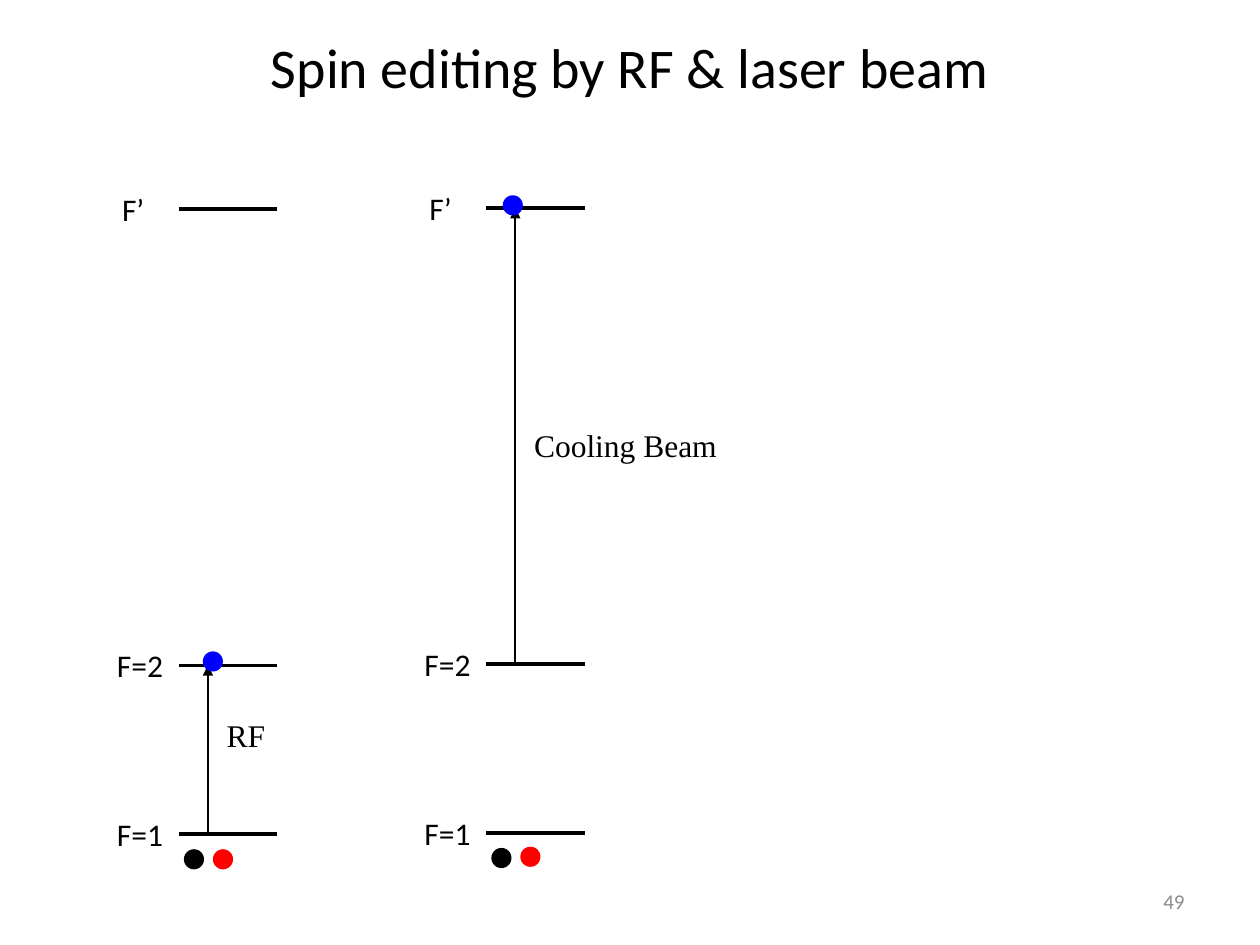
from lxml.etree import SubElement
from pptx import Presentation
from pptx.dml.color import RGBColor
from pptx.enum.shapes import MSO_CONNECTOR, MSO_SHAPE
from pptx.enum.text import MSO_ANCHOR, MSO_AUTO_SIZE, PP_ALIGN
from pptx.oxml.ns import qn
from pptx.util import Inches, Pt

BLACK = RGBColor(0x00, 0x00, 0x00)
RED = RGBColor(0xFF, 0x00, 0x00)
BLUE = RGBColor(0x00, 0x00, 0xFF)
GRAY = RGBColor(0x8C, 0x8C, 0x8C)
SANS = "Calibri"
SERIF = "Times New Roman"

# Heights of the energy levels, and label offsets from the level's left end
LEVELS = [("F=1", 6.62, -0.59), ("F=2", 5.28, -0.59), ("F’", 1.66, -0.55)]
WIDTH = 0.78
DOT = 0.16


class Board:
    """Draws on one slide, or inside a group on it."""

    def __init__(self, slide):
        self.slide = slide
        self.shapes = slide.shapes

    def group(self):
        self.shapes = self.slide.shapes.add_group_shape().shapes

    def ungroup(self):
        self.shapes = self.slide.shapes

    def style(self, frame, text, size, font, color, align):
        frame.word_wrap = True
        para = frame.paragraphs[0]
        para.text = text
        para.alignment = align
        para.font.size = Pt(size)
        para.font.name = font
        para.font.color.rgb = color

    def title(self, text):
        box = self.slide.shapes.title
        box.left, box.top = Inches(0), Inches(0)
        box.width, box.height = Inches(10), Inches(1.05)
        box.text_frame.vertical_anchor = MSO_ANCHOR.MIDDLE
        self.style(box.text_frame, text, 32, SANS, BLACK, PP_ALIGN.CENTER)

    def label(self, text, x, y, width, font=SANS, size=18, color=BLACK,
              align=PP_ALIGN.LEFT):
        box = self.shapes.add_textbox(
            Inches(x), Inches(y), Inches(width), Inches(0.4))
        self.style(box.text_frame, text, size, font, color, align)
        box.text_frame.auto_size = MSO_AUTO_SIZE.SHAPE_TO_FIT_TEXT
        return box

    def line(self, x1, y1, x2, y2, width=2, arrow=False):
        line = self.shapes.add_connector(
            MSO_CONNECTOR.STRAIGHT,
            Inches(x1), Inches(y1), Inches(x2), Inches(y2))
        line.line.color.rgb = BLACK
        line.line.width = Pt(width)
        if arrow:
            SubElement(line.line._get_or_add_ln(), qn("a:tailEnd"),
                       type="triangle")
        SubElement(line._element.spPr, qn("a:effectLst"))

    def dot(self, x, y, color):
        dot = self.shapes.add_shape(
            MSO_SHAPE.OVAL, Inches(x), Inches(y), Inches(DOT), Inches(DOT))
        dot.shadow.inherit = False
        dot.fill.solid()
        dot.fill.fore_color.rgb = color
        dot.line.fill.background()

    def scheme(self, x, shift, arrow, note, dots):
        """Level diagram with its left end at x, moved down by shift."""
        self.group()
        for name, y, offset in LEVELS:
            self.line(x, y + shift, x + WIDTH, y + shift)
            self.label(name, x + offset, y + shift - 0.2, 0.71)
        start, end = arrow
        self.line(x + 0.23, start, x + 0.23, end, width=1, arrow=True)
        text, top, width = note
        self.label(text, x + 0.28, top, width, font=SERIF)
        self.ungroup()
        for dx, y, color in dots:
            self.dot(x + dx, y, color)


def main():
    deck = Presentation()
    deck.slide_width, deck.slide_height = Inches(10), Inches(7.5)
    board = Board(deck.slides.add_slide(deck.slide_layouts[5]))

    # Slide number and title
    page = board.label("49", 7.17, 6.95, 2.33, size=12, color=GRAY,
                       align=PP_ALIGN.RIGHT)
    page.text_frame.auto_size = MSO_AUTO_SIZE.NONE
    page.text_frame.vertical_anchor = MSO_ANCHOR.MIDDLE
    board.title("Spin editing by RF & laser beam")

    # RF lifts the atom from F=1 to F=2
    board.scheme(1.42, 0, (6.6, 5.28), ("RF", 5.63, 0.54),
                 [(0.04, 6.74, BLACK), (0.27, 6.74, RED), (0.19, 5.17, BLUE)])

    # The cooling beam lifts it from F=2 to F’
    board.scheme(3.86, -0.01, (5.27, 1.65), ("Cooling Beam", 3.33, 1.65),
                 [(0.04, 6.73, BLACK), (0.27, 6.72, RED), (0.13, 1.55, BLUE)])

    deck.save("out.pptx")


if __name__ == "__main__":
    main()
